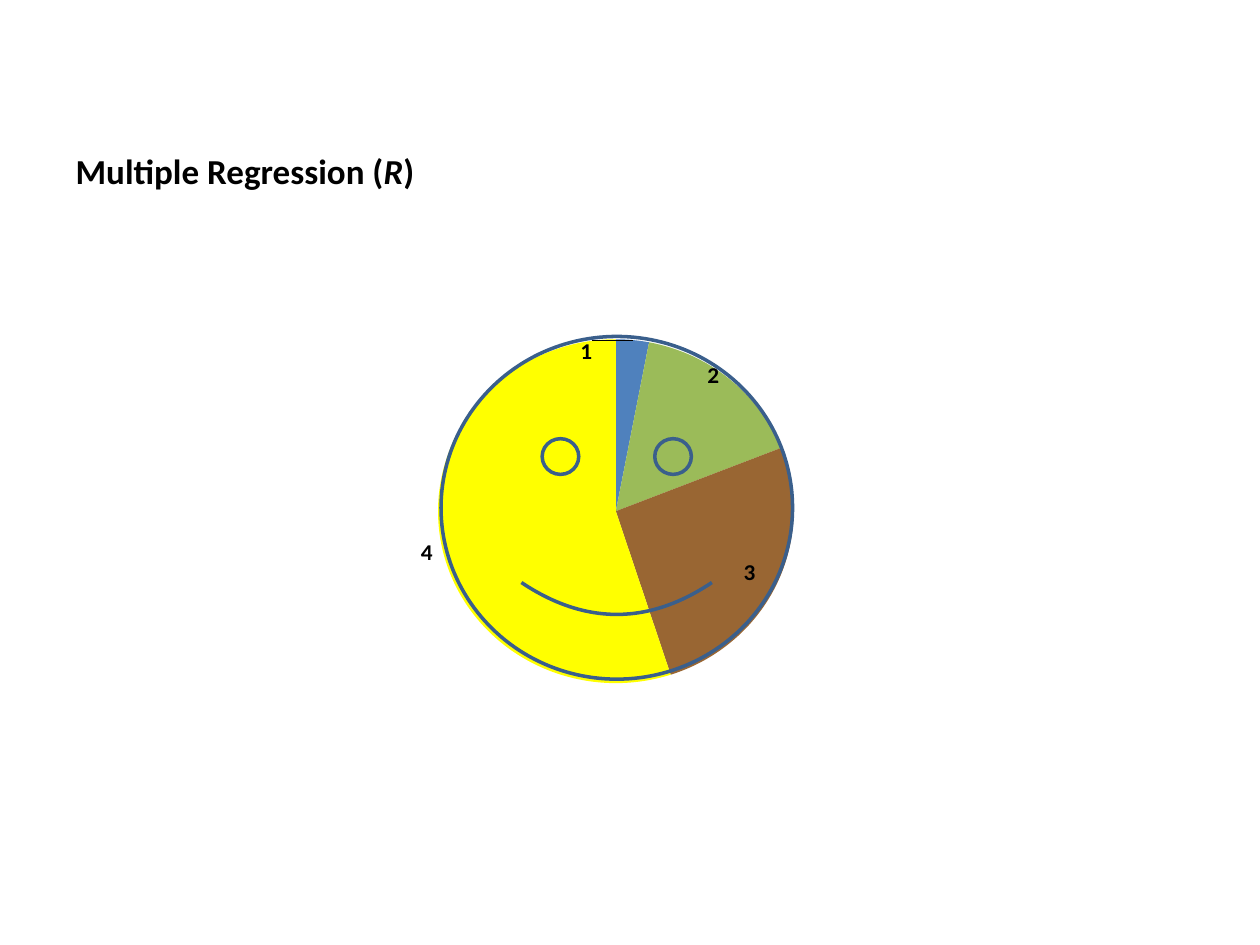
"""Build a slide with a pie chart under a smiley face outline."""
from pptx import Presentation
from pptx.chart.data import CategoryChartData
from pptx.dml.color import RGBColor
from pptx.enum.chart import XL_CHART_TYPE, XL_LABEL_POSITION
from pptx.enum.shapes import MSO_SHAPE
from pptx.enum.text import MSO_ANCHOR, PP_ALIGN
from pptx.oxml import parse_xml
from pptx.oxml.ns import nsdecls
from pptx.util import Inches, Pt

PIE = XL_CHART_TYPE.PIE
OUTSIDE_END = XL_LABEL_POSITION.OUTSIDE_END
SMILEY = MSO_SHAPE.SMILEY_FACE
BOTTOM = MSO_ANCHOR.BOTTOM
LEFT = PP_ALIGN.LEFT
TITLE_ONLY = 5
FONT = "Calibri"
COLORS = {"text": "000000", "outline": "3A5F8C", "blue": "4F81BD",
          "green": "9BBB59", "brown": "996633", "yellow": "FFFF00"}
SLICES = [("1", 3, "blue"), ("2", 16, "green"), ("3", 26, "brown"), ("4", 55, "yellow")]
LABEL_SHIFTS = [(-0.08, 0.08), (-0.04, 0.04), (-0.06, -0.07)]


def color(name):
    return RGBColor.from_string(COLORS[name])


def style_font(font, size, bold):
    font.name = FONT
    font.size = Pt(size)
    font.bold = bold
    font.color.rgb = color("text")


def manual_layout(modes="", **values):
    parts = "".join(f'<c:{key} val="{value}"/>' for key, value in values.items())
    return parse_xml(f'<c:layout {nsdecls("c")}><c:manualLayout>{modes}{parts}'
                     '</c:manualLayout></c:layout>')


def add_title(page):
    title = page.shapes.title
    title.left, title.top = Inches(0.5), Inches(0.3)
    title.width, title.height = Inches(3.29), Inches(1.27)
    title.text_frame.vertical_anchor = BOTTOM
    para = title.text_frame.paragraphs[0]
    para.alignment = LEFT
    style_font(para.font, 20, True)
    for text, italic in (("Multiple Regression (", False), ("R", True), (")", False)):
        span = para.add_run()
        span.text = text
        span.font.italic = italic


def shift_label(point, x, y):
    label = point.data_label
    style_font(label.font, 13.3, True)
    label.position = OUTSIDE_END
    element = point.data_label.font and label._dLbl
    element.find("{*}showVal").set("val", "0")
    element.find("{*}showCatName").set("val", "1")
    element.find("{*}showPercent").set("val", "0")
    element.find("{*}idx").addnext(manual_layout(x=x, y=y))


def add_pie(page):
    data = CategoryChartData()
    data.categories = [name for name, _, _ in SLICES]
    data.add_series("Series 1", [value for _, value, _ in SLICES])
    chart = page.shapes.add_chart(PIE, Inches(2.42), Inches(2.42),
                                  Inches(5.25), Inches(3.36), data).chart
    chart.has_title = False
    chart.has_legend = False
    style_font(chart.font, 10, False)

    area = chart._chartSpace.chart.plotArea
    for old in area.findall("{*}layout"):
        area.remove(old)
    modes = '<c:layoutTarget val="inner"/><c:xMode val="edge"/><c:yMode val="edge"/>'
    area.insert(0, manual_layout(modes, x=0.2, y=0.05, w=0.54, h=0.84))

    series = chart.plots[0].series[0]
    for index, (_, _, fill) in enumerate(SLICES):
        point_format = series.points[index].format
        point_format.fill.solid()
        point_format.fill.fore_color.rgb = color(fill)
        point_format.line.fill.background()

    labels = series.data_labels
    labels.show_value = False
    labels.show_percentage = False
    labels.show_category_name = True
    labels.position = OUTSIDE_END
    style_font(labels.font, 13.3, True)
    for index, (x, y) in enumerate(LABEL_SHIFTS):
        shift_label(series.points[index], x, y)


def add_smiley(page):
    face = page.shapes.add_shape(SMILEY, Inches(3.5), Inches(2.67),
                                 Inches(2.79), Inches(2.72))
    face.shadow.inherit = False
    face.fill.background()
    face.line.color.rgb = color("outline")
    face.line.width = Pt(2)


def main():
    deck = Presentation()
    deck.slide_width, deck.slide_height = Inches(10), Inches(7.5)
    page = deck.slides.add_slide(deck.slide_layouts[TITLE_ONLY])
    add_title(page)
    add_pie(page)
    add_smiley(page)
    deck.save("out.pptx")


if __name__ == "__main__":
    main()
